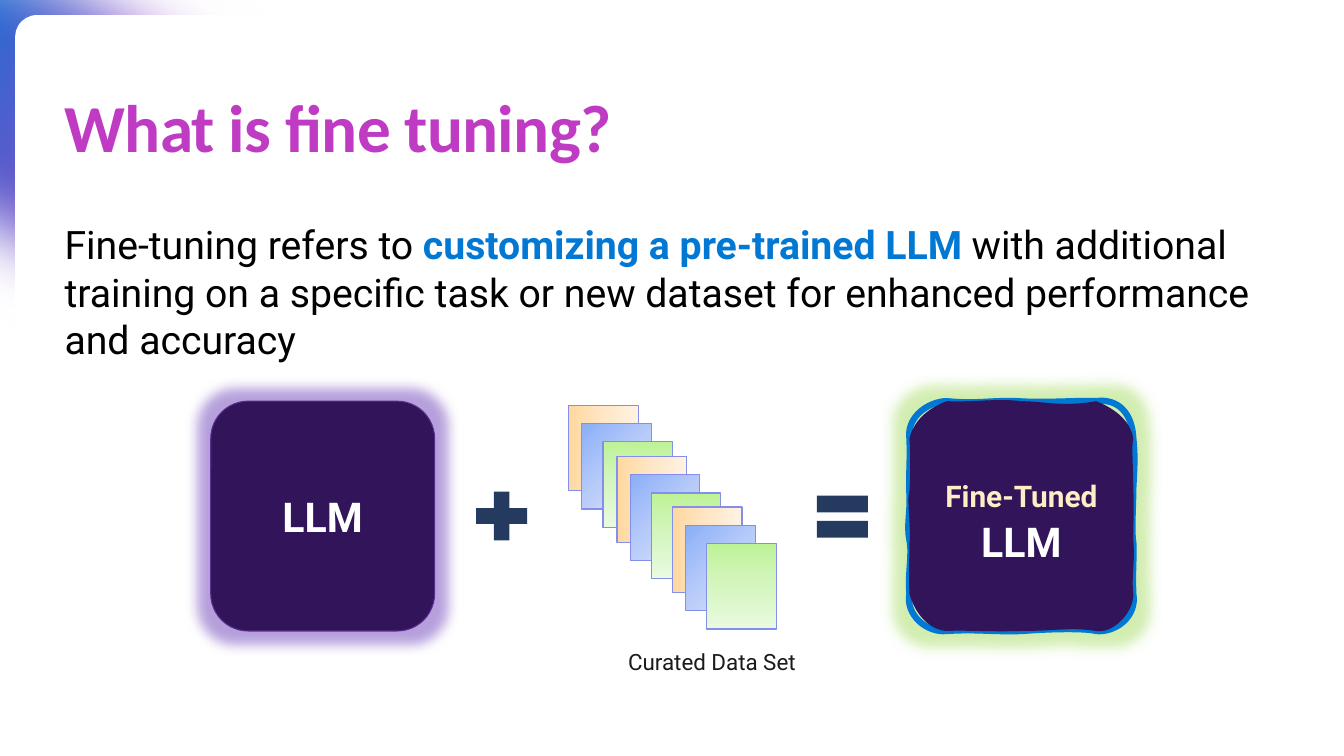
"""Build a slide that explains fine tuning of a language model."""
import pptx
import pptx.dml.color
import pptx.enum.shapes
import pptx.enum.text
import pptx.oxml.ns
import pptx.util
from lxml import etree

PX = 9144
SHAPE = pptx.enum.shapes.MSO_SHAPE
COLORS = {
    "white": "FFFFFF", "black": "000000", "caption": "1A1A1A",
    "title": "C03BC4", "accent": "0078D4", "navy": "243A5E",
    "model": "32145A", "model_line": "5C2D91", "cream": "FFEDC5",
    "purple_glow": "8661C5", "green_glow": "B5E27D", "sheet_line": "838FEB",
}
AURORA = [(10, "F4364C"), (35, "C03BC4"), (65, "0078D4"), (90, "399A91")]
SHEETS = [
    (0, 0, 0, [(0, "FFD8A0"), (50, "FFE6C5"), (100, "FFF2E3")]),
    (13, 18, 45, [(0, "8BAEF8"), (50, "B9CCF9"), (100, "DDE6FB")]),
    (34, 36, 90, [(0, "BEF297"), (50, "D5F6C0"), (100, "EAFAE0")]),
]
SHEET_GROUPS = [(0, 0), (48, 51), (103, 101)]
SKETCH_START = (0, 37)
SKETCH_BODY = [
    (5, 17, 21, 6, 37, 0), (68, 1, 87, -3, 111, 0), (133, 0, 153, 6, 185, 0),
    (201, 6, 219, 18, 222, 37), (220, 46, 222, 64, 222, 87),
    (223, 109, 222, 113, 222, 137), (224, 160, 220, 174, 222, 191),
    (223, 208, 203, 231, 185, 228), (160, 224, 145, 228, 111, 228),
    (78, 229, 54, 227, 37, 228), (19, 227, 5, 210, 0, 191),
    (-1, 169, 0, 158, 0, 141), (2, 126, -3, 99, 0, 89), (1, 77, 1, 52, 0, 37),
]
SKETCH_OUTLINE = [
    (-3, 15, 20, 0, 37, 0), (67, 3, 79, -1, 107, 0), (135, 2, 167, -1, 185, 0),
    (207, -3, 221, 12, 222, 37), (224, 54, 223, 67, 222, 86),
    (222, 103, 220, 129, 222, 140), (223, 151, 221, 168, 222, 191),
    (226, 214, 204, 230, 185, 228), (174, 225, 136, 226, 112, 228),
    (81, 229, 66, 226, 37, 228), (17, 230, -4, 212, 0, 191),
    (-2, 173, 3, 151, 0, 138), (-3, 123, 1, 110, 0, 92), (-1, 74, 1, 61, 0, 37),
]


def add_element(parent, tag, **attrs):
    """Append a drawing element."""
    return etree.SubElement(parent, pptx.oxml.ns.qn(tag), **attrs)


def rgb(name):
    """Return the named colour."""
    return pptx.dml.color.RGBColor.from_string(COLORS[name])


def style(sp, fill=None, line=None, width=0.75):
    """Set fill and line and drop the shadow."""
    sp.shadow.inherit = False
    if fill:
        sp.fill.solid()
        sp.fill.fore_color.rgb = rgb(fill)
    if line:
        sp.line.color.rgb = rgb(line)
        sp.line.width = pptx.util.Pt(width)
    else:
        sp.line.fill.background()


def add_shape(slide, kind, box, **look):
    """Add a styled preset shape in a px box."""
    sp = slide.shapes.add_shape(kind, *(v * PX for v in box))
    style(sp, **look)
    return sp


def set_gradient(sp, stops, angle):
    """Fill a shape with a linear gradient."""
    qn = pptx.oxml.ns.qn
    sp.fill.gradient()
    grad = sp._element.spPr.find(qn("a:gradFill"))
    grad.find(qn("a:lin")).set("ang", str(angle * 60000))
    stop_list = grad.find(qn("a:gsLst"))
    for old in list(stop_list):
        stop_list.remove(old)
    for pos, color in stops:
        gs = add_element(stop_list, "a:gs", pos=str(pos * 1000))
        add_element(gs, "a:srgbClr", val=color)


def add_effect(sp, tag, radius, color=None):
    """Add a glow or a soft edge to a shape."""
    effects = sp._element.spPr.find(pptx.oxml.ns.qn("a:effectLst"))
    effect = add_element(effects, tag, rad=str(radius * PX))
    if color:
        clr = add_element(effect, "a:srgbClr", val=COLORS[color])
        add_element(clr, "a:alpha", val="60000")


def write(sp, runs, margins=(0, 0), centered=False):
    """Write runs of (text, size, colour, bold, font) as one paragraph."""
    tf = sp.text_frame
    tf.word_wrap = True
    tf.margin_left = tf.margin_right = margins[0] * PX
    tf.margin_top = tf.margin_bottom = margins[1] * PX
    p = tf.paragraphs[0]
    if centered:
        tf.vertical_anchor = pptx.enum.text.MSO_ANCHOR.MIDDLE
        p.alignment = pptx.enum.text.PP_ALIGN.CENTER
    for text, size, color, bold, font in runs:
        r = p.add_run()
        r.text = text
        r.font.size = pptx.util.Pt(size)
        r.font.color.rgb = rgb(color)
        r.font.bold = bold
        r.font.name = font
    return p


def add_text(slide, box, runs):
    """Add a text box without margins."""
    return write(slide.shapes.add_textbox(*(v * PX for v in box)), runs)


def add_background(slide, box):
    """Draw the soft colour glow and the white panel."""
    x, y, w, h = box
    glow = add_shape(slide, SHAPE.OVAL, (x - 314, y - 97, 708, 420))
    glow.rotation = 23.8
    set_gradient(glow, AURORA, 180)
    add_effect(glow, "a:softEdge", 69)
    panel = add_shape(slide, SHAPE.ROUNDED_RECTANGLE,
                      (x + 15, y + 15, w - 30, h - 30), fill="white")
    panel.adjustments[0] = 0.03


def add_heading(slide, box):
    """Write the title and the definition."""
    x, y, w, _ = box
    p = add_text(slide, (x, y, w, 81),
                 [("What is fine tuning?", 48, "title", True, "Calibri")])
    p.runs[0].font._element.set("spc", "-50")
    add_text(slide, (x, y + 134, 1205, 141), [
        ("Fine-tuning refers to ", 28, "black", False, "Roboto"),
        ("customizing a pre-trained LLM ", 28, "accent", True, "Roboto"),
        ("with additional training on a specific task or new dataset for "
         "enhanced performance and accuracy", 28, "black", False, "Roboto")])


def add_model(slide, box):
    """Draw the base model."""
    sp = add_shape(slide, SHAPE.ROUNDED_RECTANGLE, box,
                   fill="model", line="model_line")
    add_effect(sp, "a:glow", 25, "purple_glow")
    write(sp, [("LLM", 29.3, "white", True, "Roboto")], (13, 11), True)


def add_data_set(slide, box):
    """Draw the cascade of data sheets and its caption."""
    x, y, _, h = box
    for gx, gy in SHEET_GROUPS:
        for dx, dy, angle, stops in SHEETS:
            sp = add_shape(slide, SHAPE.RECTANGLE,
                           (x + gx + dx, y + gy + dy, 69, 85),
                           line="sheet_line", width=0.85)
            set_gradient(sp, stops, angle)
    add_text(slide, (x + 59, y + h + 20, 178, 27),
             [("Curated Data Set", 16, "caption", False, "Roboto")])


def add_curves(outlines, size, curves, **paint):
    """Append a closed outline of cubic curves."""
    outline = add_element(outlines, "a:path", w=str(size[0]), h=str(size[1]), **paint)
    for tag, numbers in [("a:moveTo", SKETCH_START),
                         *(("a:cubicBezTo", c) for c in curves)]:
        step = add_element(outline, tag)
        for px, py in zip(numbers[::2], numbers[1::2]):
            add_element(step, "a:pt", x=str(px), y=str(py))
    add_element(outline, "a:close")


def add_tuned_model(slide, box):
    """Draw the tuned model with its hand-drawn outline."""
    x, y, w, h = box
    builder = slide.shapes.build_freeform(x, y, scale=PX)
    builder.add_line_segments([(x + w, y), (x + w, y + h), (x, y + h)])
    sp = builder.convert_to_shape()
    outlines = sp._element.spPr.find(".//" + pptx.oxml.ns.qn("a:pathLst"))
    outlines.remove(outlines[0])
    add_curves(outlines, (w, h), SKETCH_OUTLINE, fill="none")
    add_curves(outlines, (w, h), SKETCH_BODY, stroke="0")
    style(sp, fill="model", line="accent", width=4.5)
    add_effect(sp, "a:glow", 25, "green_glow")
    write(sp, [("Fine-Tuned", 21.3, "cream", True, "Roboto"),
               (" LLM", 29.3, "white", True, "Roboto")], (13, 11), True)


prs = pptx.Presentation()
prs.slide_width, prs.slide_height = 1333 * PX, 750 * PX
slide = prs.slides.add_slide(prs.slide_layouts[6])
add_background(slide, (0, 0, 1333, 750))
add_heading(slide, (64, 85, 1224, 275))
add_model(slide, (209, 398, 222, 228))
add_data_set(slide, (564, 402, 206, 221))
add_tuned_model(slide, (902, 398, 222, 228))
add_shape(slide, SHAPE.MATH_PLUS, (463, 479, 69, 66), fill="navy")
add_shape(slide, SHAPE.MATH_EQUAL, (801, 477, 69, 71), fill="navy")
prs.save("out.pptx")
